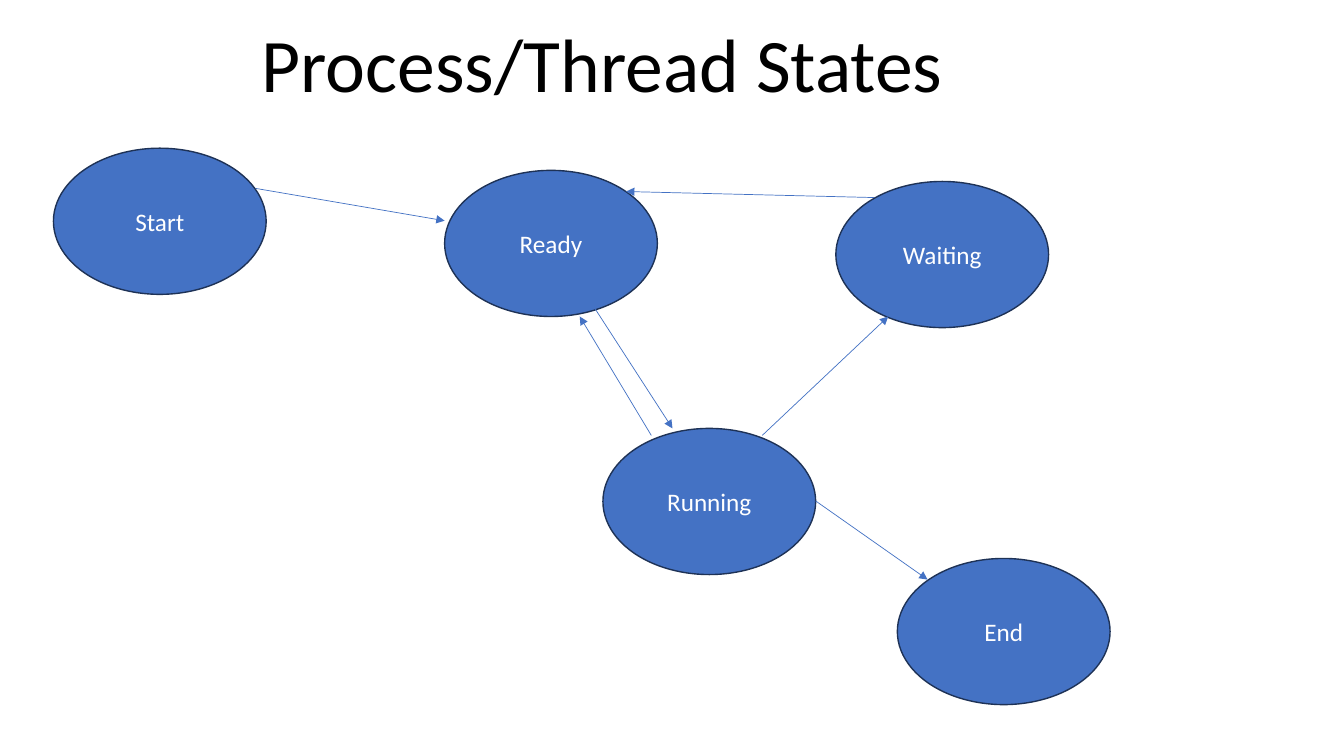
from lxml import etree
from pptx import Presentation
from pptx.dml.color import RGBColor
from pptx.enum import shapes, text
from pptx.oxml.ns import qn
from pptx.util import Inches, Pt

BLUE = RGBColor(0x44, 0x72, 0xC4)
NAVY = RGBColor(0x1E, 0x32, 0x56)
WHITE = RGBColor(0xFF, 0xFF, 0xFF)
BLACK = RGBColor(0x00, 0x00, 0x00)

FONT = "Calibri"
STATE_WIDTH, STATE_HEIGHT = Inches(2.11), Inches(1.45)

# Left and top of each state, in inches
STATES = {
    "Start": (0.53, 1.47),
    "Ready": (4.41, 1.69),
    "Waiting": (8.29, 1.8),
    "Running": (5.98, 4.25),
    "End": (8.9, 5.54),
}

# Tail and head of each transition, in inches
TRANSITIONS = [
    ((2.54, 1.87), (4.41, 2.19)),  # Start to Ready
    ((5.9, 3.06), (6.67, 4.25)),   # Ready to Running
    ((6.46, 4.32), (5.75, 3.14)),  # Running to Ready
    ((8.67, 1.96), (6.21, 1.9)),   # Waiting to Ready
    ((7.56, 4.32), (8.81, 3.14)),  # Running to Waiting
    ((8.09, 4.97), (9.2, 5.75)),   # Running to End
]


def write_text(frame, wording, *, size, color, anchor, wrap=True):
    frame.word_wrap = wrap
    frame.vertical_anchor = anchor
    paragraph = frame.paragraphs[0]
    paragraph.alignment = text.PP_ALIGN.CENTER
    run = paragraph.add_run()
    run.text = wording
    run.font.name = FONT
    run.font.size = Pt(size)
    run.font.color.rgb = color


def add_title(slide, wording):
    title = slide.shapes.add_textbox(Inches(2.46), Inches(0.12), Inches(7.03), Inches(1.01))
    write_text(title.text_frame, wording, size=54, color=BLACK,
               anchor=text.MSO_ANCHOR.TOP, wrap=False)
    title.text_frame.auto_size = text.MSO_AUTO_SIZE.SHAPE_TO_FIT_TEXT


def add_state(slide, label, left, top):
    state = slide.shapes.add_shape(shapes.MSO_SHAPE.OVAL, Inches(left), Inches(top),
                                   STATE_WIDTH, STATE_HEIGHT)
    state.shadow.inherit = False
    state.fill.solid()
    state.fill.fore_color.rgb = BLUE
    state.line.color.rgb = NAVY
    state.line.width = Pt(1)
    write_text(state.text_frame, label, size=18, color=WHITE, anchor=text.MSO_ANCHOR.MIDDLE)


def add_transition(slide, start, end):
    """Draw a thin arrow whose head is at the end point."""
    arrow = slide.shapes.add_connector(shapes.MSO_CONNECTOR.STRAIGHT,
                                       *map(Inches, start + end))
    arrow.line.color.rgb = BLUE
    arrow.line.width = Pt(0.5)
    properties = arrow.element.spPr
    etree.SubElement(properties.find(qn("a:ln")), qn("a:tailEnd"), type="triangle")
    etree.SubElement(properties, qn("a:effectLst"))


def main():
    deck = Presentation()
    deck.slide_width, deck.slide_height = Inches(13.33), Inches(7.5)
    slide = deck.slides.add_slide(deck.slide_layouts[6])
    slide.background.fill.solid()
    slide.background.fill.fore_color.rgb = WHITE

    add_title(slide, "Process/Thread States")
    for label, (left, top) in STATES.items():
        add_state(slide, label, left, top)
    for start, end in TRANSITIONS:
        add_transition(slide, start, end)

    deck.save("out.pptx")


if __name__ == "__main__":
    main()
